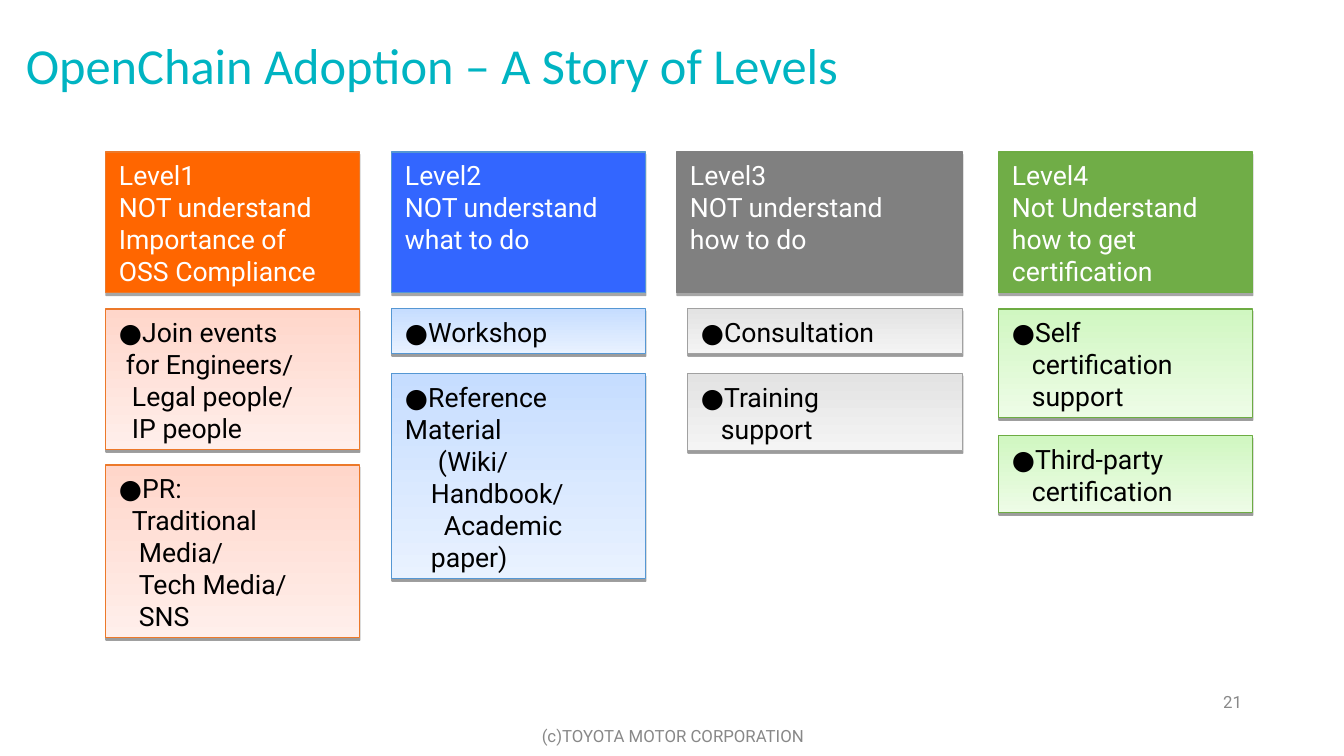
from lxml import etree
from pptx import Presentation, util as u
from pptx.dml.color import RGBColor
from pptx.enum import shapes, text
from pptx.oxml import ns

COLORS = {
    "title": "00B4C2", "footer": "888888", "number": "898989",
    "white": "FFFFFF", "black": "000000",
    "orange": "FF6600", "orange_line": "EC792A", "orange_top": "FFD6CA", "orange_end": "FFEFEB",
    "blue": "3366FF", "blue_line": "5597D3", "blue_top": "C6DDFF", "blue_end": "E9F2FF",
    "gray": "808080", "gray_line": "A1A1A1", "gray_top": "E3E3E3", "gray_end": "F4F4F4",
    "green": "70AD47", "green_line": "6DAC43", "green_top": "D0F7C1", "green_end": "EEFCE7",
}

LABELS = [
    ("OpenChain Adoption – A Story of Levels", (16, 30, 1101, 76), "Calibri", 36, "title", "LEFT"),
    ("(c)TOYOTA MOTOR CORPORATION", (446, 716, 454, 40), "Roboto", 12, "footer", "CENTER"),
    ("21", (1127, 682, 125, 40), "Roboto", 12, "number", "RIGHT"),
]

LEVELS = [
    {"color": "orange", "edge": "orange_line", "left": 106, "width": 254, "inset": 0, "gap": 15,
     "header": ["Level1", "NOT understand", "Importance of", "OSS Compliance"],
     "cards": [
         (4, [("●Join events", 0), ("for Engineers/", 7), ("Legal people/", 13), ("IP people", 13)]),
         (5, [("●PR:", 0), ("Traditional", 13), ("Media/", 20), ("Tech Media/", 20), ("SNS", 20)]),
     ]},
    {"color": "blue", "edge": "blue_line", "left": 392, "width": 254, "inset": 0, "gap": 20,
     "header": ["Level2", "NOT understand", "what to do"],
     "cards": [
         (1, [("●Workshop", 0)]),
         (6, [("●Reference Material", 0), ("(Wiki/", 33), ("Handbook/", 26),
              ("Academic", 39), ("paper)", 26)]),
     ]},
    {"color": "gray", "edge": "gray", "left": 677, "width": 286, "inset": 11, "gap": 20,
     "header": ["Level3", "NOT understand", "how to do"],
     "cards": [
         (1, [("●Consultation", 0)]),
         (2, [("●Training", 0), ("support", 20)]),
     ]},
    {"color": "green", "edge": "green_line", "left": 999, "width": 254, "inset": 0, "gap": 18,
     "header": ["Level4", "Not Understand", "how to get", "certification"],
     "cards": [
         (3, [("●Self", 0), ("certification", 20), ("support", 20)]),
         (2, [("●Third-party", 0), ("certification", 20)]),
     ]},
]

HEADER_TOP, HEADER_HEIGHT, CARDS_TOP = 152, 141, 309
LINE_HEIGHT, CARD_PADDING = 32, 13
SCALE = 914400 / 100.8


def px(value):
    return u.Emu(round(value * SCALE))


def rgb(name):
    return RGBColor.from_string(COLORS[name])


def write(paragraph, line, font, size, color):
    paragraph.text = line
    for run in paragraph.runs:
        run.font.name = font
        run.font.size = u.Pt(size)
        run.font.color.rgb = rgb(color)


def add_label(slide, line, place, font, size, color, align):
    frame = slide.shapes.add_textbox(*map(px, place)).text_frame
    frame.word_wrap = True
    frame.vertical_anchor = text.MSO_ANCHOR.MIDDLE
    paragraph = frame.paragraphs[0]
    write(paragraph, line, font, size, color)
    paragraph.alignment = text.PP_ALIGN[align]
    if size == 36:
        paragraph.line_spacing = 0.9


def add_shadow(shape, opacity, distance):
    shape.shadow.inherit = False
    effects = shape.element.spPr.find(ns.qn("a:effectLst"))
    shadow = etree.SubElement(effects, ns.qn("a:outerShdw"), blurRad="0",
                              dist=str(u.Pt(distance)), dir="5400000", rotWithShape="0")
    color = etree.SubElement(shadow, ns.qn("a:srgbClr"), val=COLORS["black"])
    etree.SubElement(color, ns.qn("a:alpha"), val=str(opacity * 1000))


def add_box(slide, place, lines, fills, edge, text_color, opacity, distance):
    shape = slide.shapes.add_shape(shapes.MSO_SHAPE.RECTANGLE, *map(px, place))
    if len(fills) == 1:
        shape.fill.solid()
        shape.fill.fore_color.rgb = rgb(fills[0])
    else:
        shape.fill.gradient()
        shape.fill.gradient_angle = 270
        for position, (stop, name) in enumerate(zip(shape.fill.gradient_stops, fills)):
            stop.position = position
            stop.color.rgb = rgb(name)
    shape.line.color.rgb = rgb(edge)
    shape.line.width = u.Pt(0.75)
    add_shadow(shape, opacity, distance)

    frame = shape.text_frame
    frame.word_wrap = True
    frame.vertical_anchor = text.MSO_ANCHOR.TOP
    frame.margin_left = frame.margin_right = px(13)
    frame.margin_top = frame.margin_bottom = px(7)
    for index, (line, indent) in enumerate(lines):
        paragraph = frame.add_paragraph() if index else frame.paragraphs[0]
        write(paragraph, line, "Roboto", 19, text_color)
        paragraph.alignment = text.PP_ALIGN.LEFT
        if indent:
            paragraph._p.get_or_add_pPr().set("marL", str(px(indent)))


def add_level(slide, level):
    color, left, width, inset = (level[key] for key in ("color", "left", "width", "inset"))
    header = [(line, 0) for line in level["header"]]
    add_box(slide, (left, HEADER_TOP, width, HEADER_HEIGHT), header,
            [color], level["edge"], "white", 35, 1.8)
    top = CARDS_TOP
    for line_count, lines in level["cards"]:
        height = line_count * LINE_HEIGHT + CARD_PADDING
        add_box(slide, (left + inset, top, width - inset, height), lines,
                [color + "_top", color + "_end"], color + "_line", "black", 38, 1.6)
        top += height + level["gap"]


def main():
    presentation = Presentation()
    presentation.slide_width, presentation.slide_height = px(1344), px(756)
    slide = presentation.slides.add_slide(presentation.slide_layouts[6])
    for label in LABELS:
        add_label(slide, *label)
    for level in LEVELS:
        add_level(slide, level)
    presentation.save("out.pptx")


if __name__ == "__main__":
    main()
